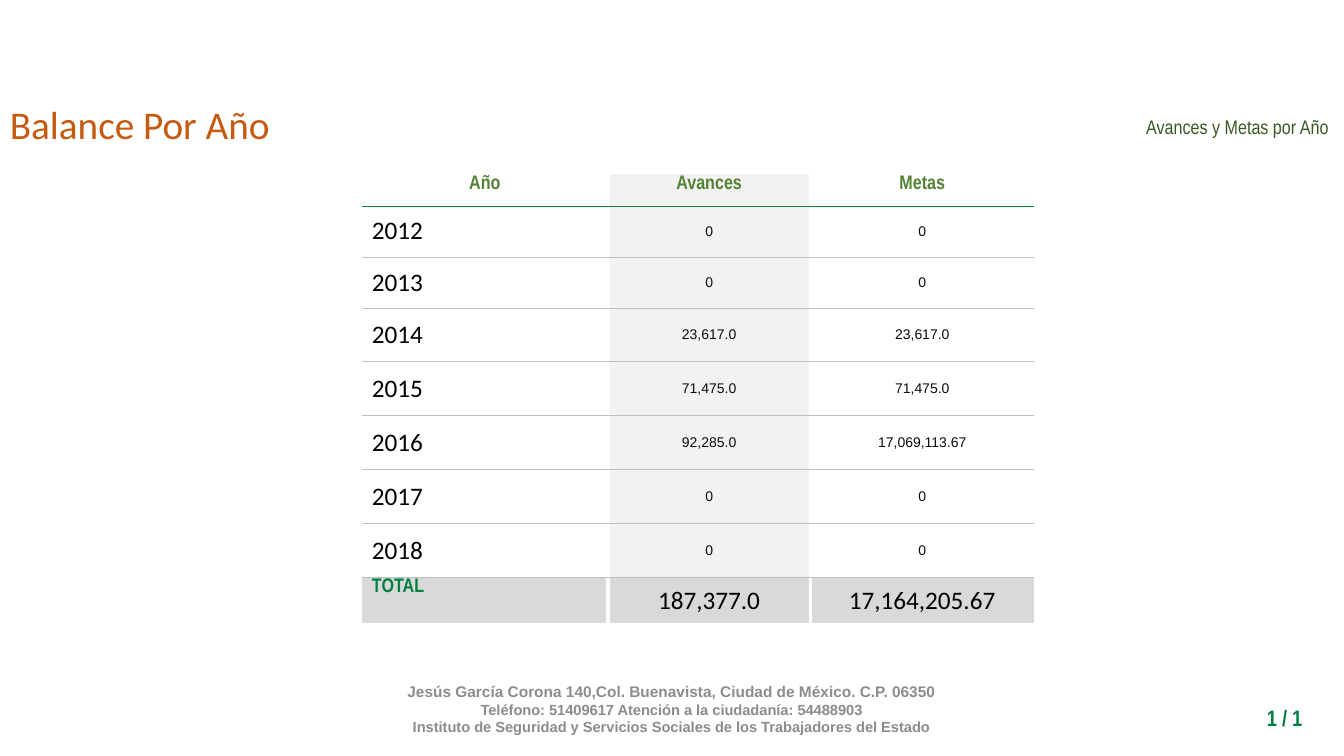
from lxml import etree
from pptx import Presentation
from pptx.dml.color import RGBColor
from pptx.enum.text import MSO_ANCHOR, PP_ALIGN
from pptx.oxml.ns import qn
from pptx.util import Pt

LEFT, CENTER, RIGHT = PP_ALIGN.LEFT, PP_ALIGN.CENTER, PP_ALIGN.RIGHT
TOP, MIDDLE = MSO_ANCHOR.TOP, MSO_ANCHOR.MIDDLE

COLORS = {
    "title": "C55A11", "subtitle": "385723", "heading": "548235",
    "green": "008040", "black": "000000", "value": "0B0B0B",
    "footer": "8C8C8C", "column": "F2F2F2", "total": "D9D9D9",
    "rule": "BFBFBF", "white": "FFFFFF",
}
HEADINGS = ("Año", "Avances", "Metas")
YEARS = [
    ("2012", "0", "0"),
    ("2013", "0", "0"),
    ("2014", "23,617.0", "23,617.0"),
    ("2015", "71,475.0", "71,475.0"),
    ("2016", "92,285.0", "17,069,113.67"),
    ("2017", "0", "0"),
    ("2018", "0", "0"),
]
TOTALS = ("TOTAL", "187,377.0", "17,164,205.67")
FOOTER = [
    ("Jesús García Corona 140,Col. Buenavista, Ciudad de México. C.P. 06350", 11),
    ("Teléfono: 51409617 Atención a la ciudadanía: 54488903", 10.5),
    ("Instituto de Seguridad y Servicios Sociales de los Trabajadores del Estado", 10.5),
]
COLUMN_WIDTHS = (175.7, 144.7, 159.8)
ROW_HEIGHTS = (22.5, 36.5, 36.5, 38.5, 38.5, 38.5, 38.5, 38.5, 34)

HEADING = dict(size=14, font="Arial Narrow", color="heading", bold=True, align=CENTER)
YEAR = dict(size=18, font="Calibri", color="black")
VALUE = dict(size=10, font="Arial", color="value", align=CENTER)
TOTAL_LABEL = dict(size=14, font="Arial Narrow", color="green", bold=True)
TOTAL_VALUE = dict(YEAR, align=CENTER)


def rgb(name):
    return RGBColor.from_string(COLORS[name])


def write(para, text, size, font, color, bold=False, align=LEFT, spacing=None):
    para.alignment = align
    if spacing:
        para.line_spacing = spacing
    span = para.add_run()
    span.text = text
    span.font.size = Pt(size)
    span.font.name = font
    span.font.bold = bold
    span.font.color.rgb = rgb(color)


def add_box(page, left, top, width, height, anchor=TOP, wrap=True):
    box = page.shapes.add_textbox(Pt(left), Pt(top), Pt(width), Pt(height))
    box.text_frame.word_wrap = wrap
    box.text_frame.vertical_anchor = anchor
    return box.text_frame


def set_borders(cell, **borders):
    """Draw each side (L, R, T, B) given as (color, width); leave the others without a line."""
    properties = cell._tc.get_or_add_tcPr()
    for index, side in enumerate("LRTB"):
        line = etree.Element(qn("a:ln" + side))
        if side in borders:
            color, width = borders[side]
            line.set("w", str(int(Pt(width))))
            fill = etree.SubElement(line, qn("a:solidFill"))
            etree.SubElement(fill, qn("a:srgbClr"), val=COLORS[color])
        else:
            etree.SubElement(line, qn("a:noFill"))
        properties.insert(index, line)


def fill_cell(cell, text, row, column, last_row, last_column):
    is_heading, is_total = row == 0, row == last_row
    if is_heading:
        style = HEADING
    elif is_total:
        style = TOTAL_VALUE if column else TOTAL_LABEL
    else:
        style = VALUE if column else YEAR
    at_top = is_heading or (is_total and column == 0)
    cell.vertical_anchor = TOP if at_top else MIDDLE
    cell.margin_top = cell.margin_bottom = Pt(0.7)
    write(cell.text_frame.paragraphs[0], text, **style)

    if is_total or column == 1:
        cell.fill.solid()
        cell.fill.fore_color.rgb = rgb("total" if is_total else "column")
    else:
        cell.fill.background()

    gap, rule, head_rule = ("white", 3), ("rule", 0.5), ("green", 0.25)
    borders = {"B": head_rule if is_heading else gap if is_total else rule}
    if not is_heading:
        borders["T"] = head_rule if row == 1 else rule
    if column > 0:
        borders["L"] = gap
    if column < last_column:
        borders["R"] = gap
    set_borders(cell, **borders)


def add_balance(page):
    rows = [HEADINGS, *YEARS, TOTALS]
    table = page.shapes.add_table(
        len(rows), len(HEADINGS), Pt(258.5), Pt(124.5),
        Pt(sum(COLUMN_WIDTHS)), Pt(sum(ROW_HEIGHTS))).table
    table.first_row = table.horz_banding = False
    for column, width in zip(table.columns, COLUMN_WIDTHS):
        column.width = Pt(width)
    for row, height in zip(table.rows, ROW_HEIGHTS):
        row.height = Pt(height)
    for row, texts in enumerate(rows):
        for column, text in enumerate(texts):
            fill_cell(table.cell(row, column), text, row, column,
                      len(rows) - 1, len(HEADINGS) - 1)


def main():
    deck = Presentation()
    deck.slide_width, deck.slide_height = Pt(960), Pt(540)
    page = deck.slides.add_slide(deck.slide_layouts[6])

    footer = add_box(page, 207.4, 487, 545, 39, anchor=MIDDLE)
    for index, (text, size) in enumerate(FOOTER):
        para = footer.add_paragraph() if index else footer.paragraphs[0]
        write(para, text, size, "Arial", "footer", bold=True, align=CENTER)

    add_balance(page)

    subtitle = add_box(page, 521.3, 54.7, 434.9, 68.4, anchor=MIDDLE)
    write(subtitle.paragraphs[0], "Avances y Metas por Año", 14, "Arial Narrow",
          "subtitle", align=RIGHT, spacing=1.15)
    number = add_box(page, 846.7, 499.7, 90.7, 26.6)
    write(number.paragraphs[0], "1 / 1", 16, "Arial Narrow", "green",
          bold=True, align=RIGHT)
    title = add_box(page, 0, 68.4, 202.3, 41, wrap=False)
    write(title.paragraphs[0], "Balance Por Año", 28, "Calibri", "title")

    deck.save("out.pptx")


if __name__ == "__main__":
    main()
